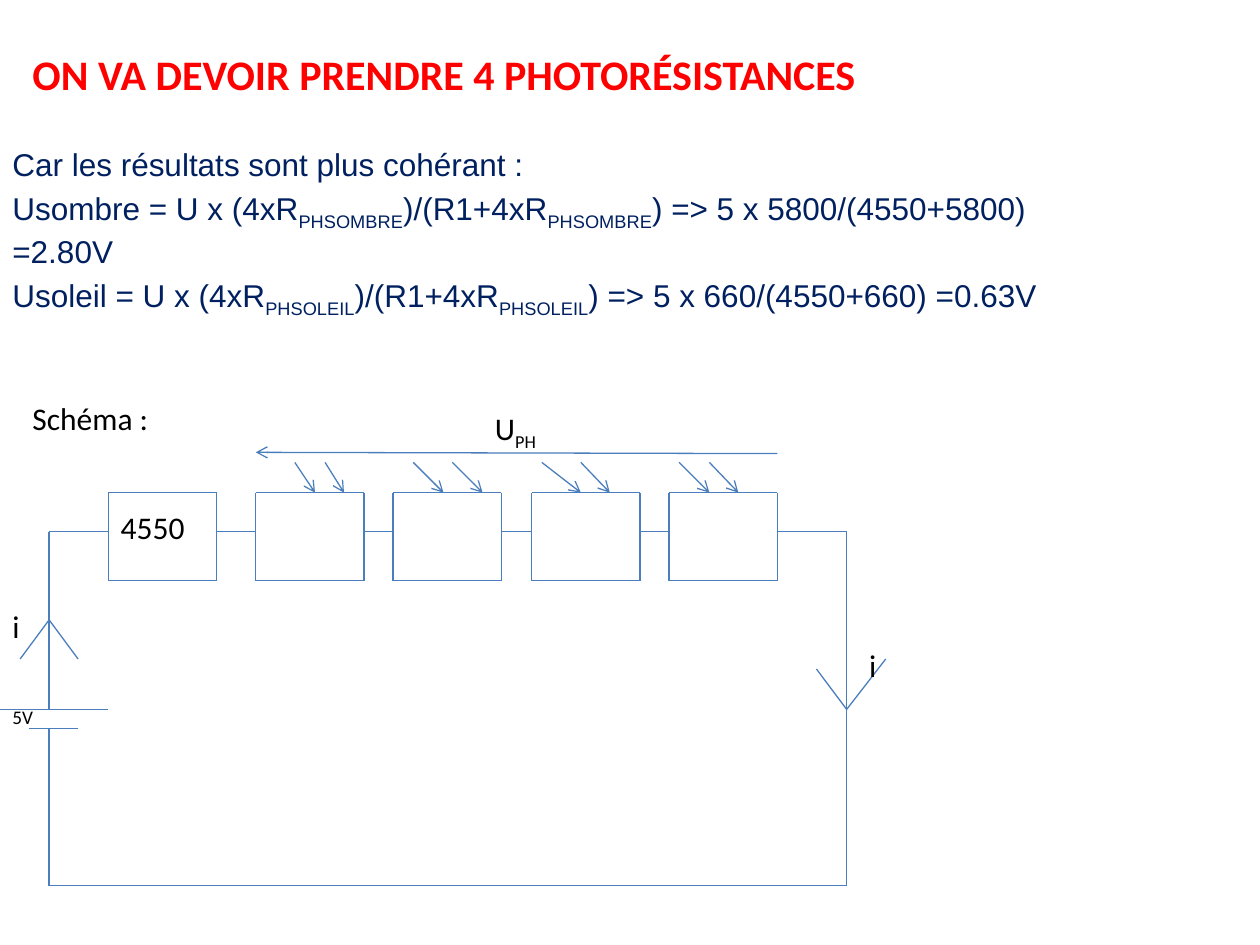
from itertools import pairwise
from lxml import etree
from pptx import Presentation
from pptx.dml.color import RGBColor
from pptx.enum.shapes import MSO_CONNECTOR
from pptx.enum.text import MSO_ANCHOR
from pptx.oxml.ns import qn
from pptx.util import Inches, Pt

STRAIGHT = MSO_CONNECTOR.STRAIGHT
TOP, MIDDLE, BOTTOM = MSO_ANCHOR.TOP, MSO_ANCHOR.MIDDLE, MSO_ANCHOR.BOTTOM
WIRE, RED, NAVY, BLACK = "4B7EBC", "FF0000", "002060", "000000"

TITLE = "ON VA DEVOIR PRENDRE 4 PHOTORÉSISTANCES"
FORMULAS = [
    ["Car les résultats sont plus cohérant :"],
    ["Usombre = U x (4xR", "PHSOMBRE", ")/(R1+4xR", "PHSOMBRE",
     ") => 5 x 5800/(4550+5800) =2.80V"],
    ["Usoleil = U x (4xR", "PHSOLEIL", ")/(R1+4xR", "PHSOLEIL",
     ") => 5 x 660/(4550+660) =0.63V"],
]
LABELS = [
    (["Schéma :"], 0.16, 3.12, 2.03, 0.4, 18),
    (["4550"], 0.86, 3.98, 0.86, 0.4, 18),
    (["U", "PH"], 3.83, 3.2, 3.36, 0.4, 18),
    (["i"], 0, 4.77, 0.39, 0.4, 18),
    (["i"], 6.8, 5.08, 1.09, 0.4, 18),
    (["5V"], 0, 5.55, 1.41, 0.29, 11),
]
RESISTOR_LEFTS = [0.86, 2.03, 3.12, 4.22, 5.31]
RESISTOR_WIDTH, RESISTOR_TOP, RESISTOR_BOTTOM = 0.86, 3.91, 4.61
LEFT_WIRE, RIGHT_WIRE, WIRE_TOP, WIRE_BOTTOM = 0.39, 6.72, 4.22, 7.03
CELL_PLUS, CELL_MINUS = 5.63, 5.78
LIGHT_TOP = 3.67
LIGHT_RAYS = [(2.34, 2.5), (2.58, 2.73), (3.28, 3.52), (3.59, 3.83),
              (4.3, 4.61), (4.61, 4.84), (5.39, 5.63), (5.63, 5.86)]
CURRENT_MARKS = [
    [(0.62, 5.23), (LEFT_WIRE, 4.92), (0.16, 5.23)],
    [(7.03, 5.23), (RIGHT_WIRE, CELL_PLUS), (6.48, 5.31)],
]

prs = Presentation()
prs.slide_width, prs.slide_height = Inches(10), Inches(7.5)
slide = prs.slides.add_slide(prs.slide_layouts[6])


def rgb(color):
    return RGBColor.from_string(color)


def add_text(paragraphs, left, top, width, height, size, font="Calibri",
             color=BLACK, bold=False, anchor=TOP, before=0):
    box = slide.shapes.add_textbox(*map(Inches, (left, top, width, height)))
    frame = box.text_frame
    frame.word_wrap = True
    frame.vertical_anchor = anchor
    for i, parts in enumerate(paragraphs):
        paragraph = frame.add_paragraph() if i else frame.paragraphs[0]
        paragraph.space_before = Pt(before)
        paragraph.font.name = font
        paragraph.font.size = Pt(size)
        paragraph.font.bold = bold
        paragraph.font.color.rgb = rgb(color)
        for j, part in enumerate(parts):
            run = paragraph.add_run()
            run.text = part
            if j % 2:
                run.font._element.set("baseline", "-25000")


def add_wire(start, end, arrow=False):
    wire = slide.shapes.add_connector(STRAIGHT, *map(Inches, (*start, *end)))
    wire.line.color.rgb = rgb(WIRE)
    wire.line.width = Pt(0.75)
    if arrow:
        etree.SubElement(wire.line._get_or_add_ln(), qn("a:tailEnd"), type="arrow")
    etree.SubElement(wire._element.spPr, qn("a:effectLst"))


def add_wires(points):
    for start, end in pairwise(points):
        add_wire(start, end)


add_text([[TITLE]], 0.16, 0.31, 8.5, 0.55, 24, color=RED, bold=True, anchor=MIDDLE)
add_text(FORMULAS, 0, 0.94, 8.5, 1.64, 18, "Arial", NAVY, anchor=BOTTOM, before=3.6)

for left in RESISTOR_LEFTS:
    right = left + RESISTOR_WIDTH
    add_wires([(left, RESISTOR_TOP), (right, RESISTOR_TOP), (right, RESISTOR_BOTTOM),
               (left, RESISTOR_BOTTOM), (left, RESISTOR_TOP)])

gap_starts = [LEFT_WIRE] + [left + RESISTOR_WIDTH for left in RESISTOR_LEFTS]
for start, end in zip(gap_starts, RESISTOR_LEFTS + [RIGHT_WIRE]):
    add_wire((start, WIRE_TOP), (end, WIRE_TOP))

add_wire((LEFT_WIRE, CELL_PLUS), (LEFT_WIRE, WIRE_TOP))
add_wires([(RIGHT_WIRE, WIRE_TOP), (RIGHT_WIRE, WIRE_BOTTOM),
           (LEFT_WIRE, WIRE_BOTTOM), (LEFT_WIRE, CELL_MINUS)])
add_wire((0, CELL_PLUS), (0.86, CELL_PLUS))
add_wire((0.23, CELL_MINUS), (0.62, CELL_MINUS))

add_wire((6.17, 3.6), (2.03, 3.59), arrow=True)
for start, end in LIGHT_RAYS:
    add_wire((start, LIGHT_TOP), (end, RESISTOR_TOP), arrow=True)
for mark in CURRENT_MARKS:
    add_wires(mark)

for parts, left, top, width, height, size in LABELS:
    add_text([parts], left, top, width, height, size)

prs.save("out.pptx")
